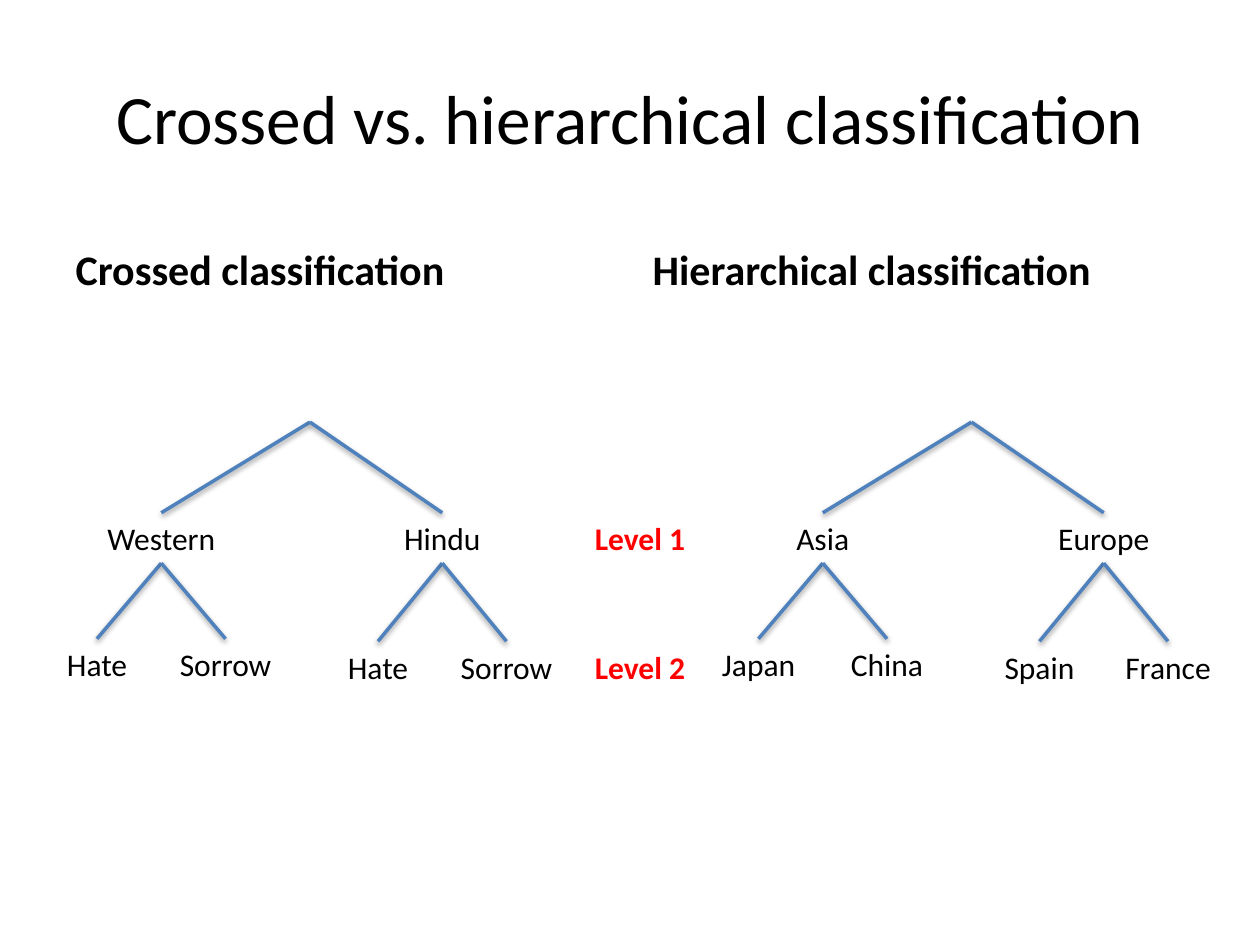
from dataclasses import dataclass

from pptx import Presentation
from pptx.dml.color import RGBColor
from pptx.enum import shapes, text
from pptx.util import Inches, Pt

BLACK = RGBColor(0x00, 0x00, 0x00)
RED = RGBColor(0xFF, 0x00, 0x00)
BLUE = RGBColor(0x4F, 0x81, 0xBD)
FONT = "Calibri"

LABEL_H = 0.4
APEX_Y, LEVEL1_Y = 3.35, 4.07
APEX_X = 2.46       # from the left edge of a tree
LEAF_DX = 0.51      # from a branch's centre to each of its leaves


@dataclass
class Label:
    text: str
    width: float


@dataclass
class Branch:
    label: Label
    x: float        # centre, from the left edge of the tree
    leaf_y: float
    leaves: tuple[Label, Label]


@dataclass
class Tree:
    left: float
    branches: tuple[Branch, Branch]


HATE, SORROW = Label("Hate", 0.69), Label("Sorrow", 0.94)
TREES = (
    Tree(0, (
        Branch(Label("Western", 1.08), 1.28, 5.07, (HATE, SORROW)),
        Branch(Label("Hindu", 0.81), 3.51, 5.09, (HATE, SORROW)),
    )),
    Tree(5.25, (
        Branch(Label("Asia", 0.63), 1.28, 5.07,
               (Label("Japan", 0.79), Label("China", 0.78))),
        Branch(Label("Europe", 0.94), 3.51, 5.09,
               (Label("Spain", 0.76), Label("France", 0.89))),
    )),
)


def style(p, size: float, color: RGBColor = BLACK, bold: bool = False) -> None:
    f = p.runs[0].font
    f.name, f.size, f.bold = FONT, Pt(size), bold
    f.color.rgb = color


def fill_placeholder(sp, words: str, box: tuple, size: float, bold: bool, anchor):
    sp.left, sp.top, sp.width, sp.height = map(Inches, box)
    tf = sp.text_frame
    tf.text = words
    tf.vertical_anchor = anchor
    style(tf.paragraphs[0], size, bold=bold)


def add_label(s, label: Label, x: float, y: float,
              color: RGBColor = BLACK, bold: bool = False):
    """Add a text box centred on x with its top at y."""
    sp = s.shapes.add_textbox(Inches(x - label.width / 2), Inches(y),
                              Inches(label.width), Inches(LABEL_H))
    tf = sp.text_frame
    tf.word_wrap = False
    tf.auto_size = text.MSO_AUTO_SIZE.SHAPE_TO_FIT_TEXT
    tf.text = label.text
    p = tf.paragraphs[0]
    p.alignment = text.PP_ALIGN.CENTER
    style(p, 18, color, bold)
    return sp


def add_line(s, x1: float, y1: float, x2: float, y2: float):
    """Add a blue line; it keeps the theme's soft shadow."""
    line = s.shapes.add_connector(shapes.MSO_CONNECTOR.STRAIGHT, Inches(x1),
                                  Inches(y1), Inches(x2), Inches(y2))
    line.line.color.rgb = BLUE
    line.line.width = Pt(2)
    return line


def draw_tree(s, tree: Tree) -> None:
    for branch in tree.branches:
        x = tree.left + branch.x
        parent = add_label(s, branch.label, x, LEVEL1_Y)
        stem = add_line(s, x, LEVEL1_Y, tree.left + APEX_X, APEX_Y)
        stem.begin_connect(parent, 0)
        for leaf, side in zip(branch.leaves, (-1, 1)):
            leaf_x = x + side * LEAF_DX
            child = add_label(s, leaf, leaf_x, branch.leaf_y)
            line = add_line(s, x, LEVEL1_Y + LABEL_H, leaf_x, branch.leaf_y)
            line.begin_connect(parent, 2)
            line.end_connect(child, 0)


def main() -> None:
    prs = Presentation()
    prs.slide_width, prs.slide_height = Inches(10), Inches(7.5)
    s = prs.slides.add_slide(prs.slide_layouts.get_by_name("Comparison"))

    # Title and column headings
    holders = {sp.placeholder_format.idx: sp for sp in s.placeholders}
    fill_placeholder(holders[0], "Crossed vs. hierarchical classification",
                     (0.5, 0.3, 9, 1.25), 39.6, False, text.MSO_ANCHOR.MIDDLE)
    for idx, words, left in ((1, "Crossed classification", 0.5),
                             (3, "Hierarchical classification", 5.08)):
        fill_placeholder(holders[idx], words, (left, 1.68, 4.42, 0.7),
                         24, True, text.MSO_ANCHOR.BOTTOM)
    for idx, sp in holders.items():
        if idx not in (0, 1, 3):
            sp.element.getparent().remove(sp.element)

    # Classification trees
    for tree in TREES:
        draw_tree(s, tree)

    # Level names between the trees
    for words, y in (("Level 1", LEVEL1_Y), ("Level 2", 5.09)):
        add_label(s, Label(words, 0.93), 5.08, y, RED, True)

    prs.save("out.pptx")


if __name__ == "__main__":
    main()
